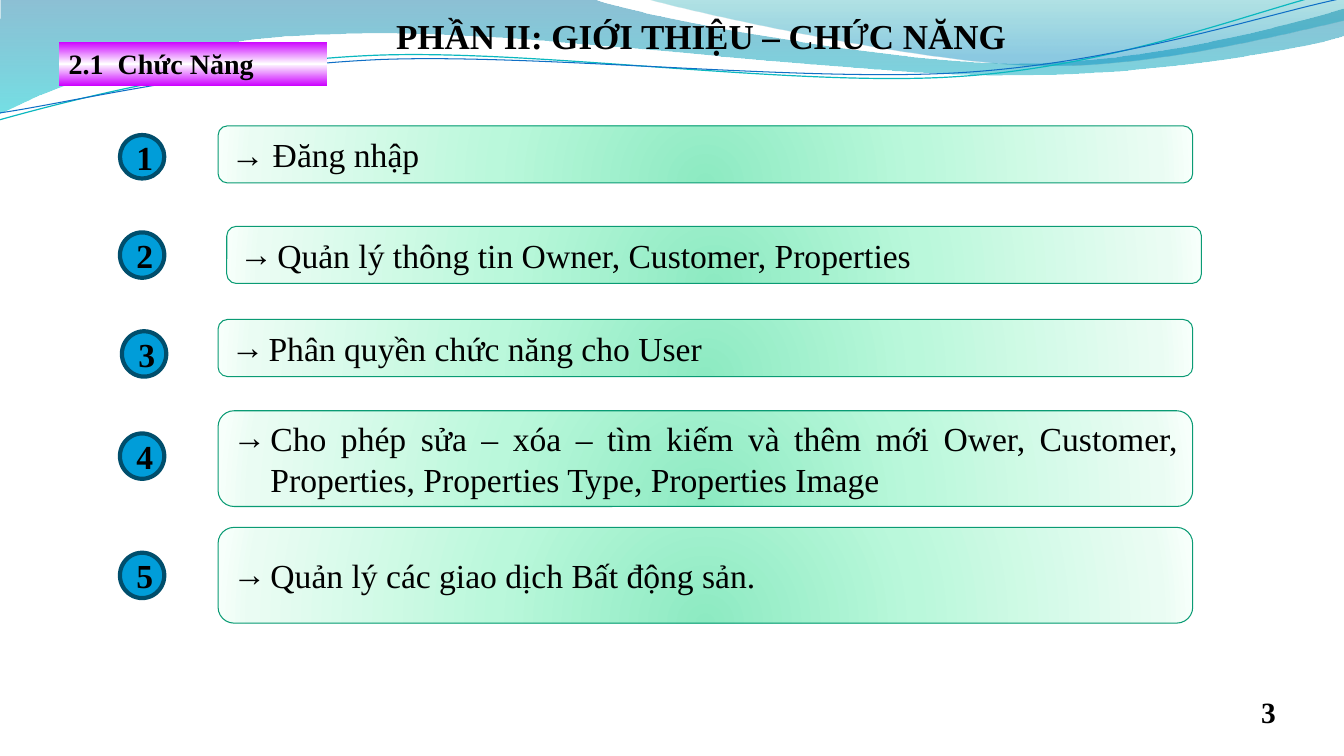
import pptx
import pptx.dml.color
import pptx.enum.shapes
import pptx.enum.text
import pptx.oxml
import pptx.oxml.ns
import pptx.util

Pt = pptx.util.Pt
color = pptx.dml.color.RGBColor.from_string
qn = pptx.oxml.ns.qn
NAMESPACE = pptx.oxml.ns.nsdecls("a")
ALIGN = pptx.enum.text.PP_ALIGN
ANCHOR = pptx.enum.text.MSO_ANCHOR
FIT = pptx.enum.text.MSO_AUTO_SIZE.SHAPE_TO_FIT_TEXT
SHAPE = pptx.enum.shapes.MSO_SHAPE

DOWNWARD = '<a:lin ang="5400000" scaled="0"/>'
FROM_BELOW = '<a:path path="circle"><a:fillToRect l="50000" t="130000" r="50000" b="-30000"/></a:path>'
BAR_STOPS = [(0, "8DEAC2", 100), (43, "BAF8DB", 100), (93, "EAFCF3", 100), (100, "F7FFFB", 100)]
TAG_STOPS = [(0, "CC00FF", 100), (50, "FFFFFF", 100), (100, "CC00FF", 100)]


def fill_gradient(shape, stops, direction):
    """Fill with stops of (position %, colour, opacity %)."""
    shape.fill.solid()
    marks = "".join(
        f'<a:gs pos="{position * 1000}"><a:srgbClr val="{tone}"><a:alpha val="{opacity * 1000}"/></a:srgbClr></a:gs>'
        for position, tone, opacity in stops
    )
    gradient = pptx.oxml.parse_xml(
        f'<a:gradFill {NAMESPACE} rotWithShape="1"><a:gsLst>{marks}</a:gsLst>{direction}</a:gradFill>'
    )
    solid = shape.element.spPr.find(qn("a:solidFill"))
    solid.getparent().replace(solid, gradient)


def write(box, text, size, bold=True, align=ALIGN.LEFT, anchor=ANCHOR.MIDDLE):
    """Put one black paragraph in the box and return it."""
    box.text_frame.word_wrap = True
    box.text_frame.vertical_anchor = anchor
    para = box.text_frame.paragraphs[0]
    para.alignment = align
    span = para.add_run()
    span.text = text
    span.font.name = "Times New Roman"
    span.font.size = Pt(size)
    span.font.bold = bold
    span.font.color.rgb = color("000000")
    return para


deck = pptx.Presentation()
deck.slide_width, deck.slide_height = Pt(960), Pt(540)
page = deck.slides.add_slide(deck.slide_layouts[6])

# Header waves: start, then lines (x, y) or curves (two controls and an end);
# the last two entries are gradient stops and line (colour, width)
waves = [
    ((0, 0), [
        (422.6, -0.7),
        (456.5, 12.2, 636.5, 45.4, 727.9, 45.4),
        (818.6, 45.4, 919.4, 18.7, 959.8, 6.5),
        (960.5, 25.9),
        (943.9, 31.7, 834.5, 54.7, 715.7, 54),
        (596.9, 54, 366.5, 20.2, 247, 24.5),
        (123.8, 25.9, 43.9, 59.8, -0.7, 81.4),
    ], [(0, "0074A1", 45), (100, "00C6CF", 55)], None),
    ((460.1, -0.7), [
        (488.9, 7.9, 654.5, 44.6, 738, 46.8),
        (820.8, 49.7, 923, 23, 959.8, 15.1),
        (959.8, 0),
    ], [(0, "00A1A9", 30), (80, "008BBF", 45)], None),
    ((-0.7, 85.7), [
        (46.1, 72.7, 151.9, 44.6, 265.7, 39.6),
        (379.4, 34.6, 568.1, 62.6, 684, 54.7),
        (799.2, 47.5, 900.7, 5.8, 958.3, -7.2),
    ], None, ("0AB8BF", 0.85)),
    ((0, 80.6), [
        (45.4, 74.2, 157, 47.5, 272.2, 42.5),
        (386.6, 38.2, 573.1, 59, 687.6, 51.8),
        (802.1, 44.6, 903.6, 10.1, 959.8, -1.4),
    ], None, ("0F6FC6", 0.75)),
]
for (start_x, start_y), segments, stops, stroke in waves:
    outline = page.shapes.build_freeform(Pt(start_x), Pt(start_y))
    for segment in segments:
        points = [(Pt(x), Pt(y)) for x, y in zip(segment[::2], segment[1::2])]
        outline.add_line_segments(points, close=False)
    wave = outline.convert_to_shape()
    wave.shadow.inherit = False

    # Join the three points of each curve into one Bézier segment
    steps = list(wave.element.iter(qn("a:lnTo")))
    route = steps[0].getparent()
    for segment in segments:
        count = len(segment) // 2
        joined, steps = steps[:count], steps[count:]
        if count == 3:
            curve = pptx.oxml.parse_xml(f"<a:cubicBezTo {NAMESPACE}/>")
            joined[0].addprevious(curve)
            for step in joined:
                curve.append(step[0])
                route.remove(step)

    if stops:
        route.append(pptx.oxml.parse_xml(f"<a:close {NAMESPACE}/>"))
        fill_gradient(wave, stops, DOWNWARD)
        wave.line.fill.background()
    else:
        wave.fill.background()
        wave.line.color.rgb = color(stroke[0])
        wave.line.width = Pt(stroke[1])

# Functions: bar left, top, height; badge left, top, height; text; arrow bullet
functions = [
    (155.8, 89.9, 40.8, 85.7, 96.5, 31, "→ Đăng nhập", False),
    (162, 161.7, 40.8, 85.7, 166, 32.4, "Quản lý thông tin Owner, Customer, Properties", True),
    (155.8, 228.2, 40.8, 87.1, 236.6, 32.4, "Phân quyền chức năng cho User", True),
    (155.8, 293.4, 68.4, 85.7, 309.6, 32.4,
     "Cho phép sửa – xóa – tìm kiếm và thêm mới Ower, Customer, Properties, Properties Type, Properties Image", True),
    (155.8, 376.7, 68.4, 85.7, 394.8, 32.4, "Quản lý các giao dịch Bất động sản.", True),
]
for number, (left, top, height, badge_left, badge_top, badge_height, text, bulleted) in enumerate(functions, 1):
    bar = page.shapes.add_shape(SHAPE.ROUNDED_RECTANGLE, Pt(left), Pt(top), Pt(696.2), Pt(height))
    bar.shadow.inherit = False
    fill_gradient(bar, BAR_STOPS, FROM_BELOW)
    bar.line.color.rgb = color("0A9B74")
    bar.line.width = Pt(0.75)
    para = write(bar, text, 24, bold=False, align=ALIGN.JUSTIFY if bulleted else ALIGN.LEFT)
    if bulleted:
        para.space_before = Pt(6)
        settings = para._p.get_or_add_pPr()
        settings.set("marL", str(Pt(27)))
        settings.set("indent", str(Pt(-27)))
        for bullet in ('buFont {} typeface="Times New Roman"', 'buChar {} char="→"'):
            settings.append(pptx.oxml.parse_xml(f"<a:{bullet.format(NAMESPACE)}/>"))

    badge = page.shapes.add_shape(SHAPE.OVAL, Pt(badge_left), Pt(badge_top), Pt(31.7), Pt(badge_height))
    badge.shadow.inherit = False
    badge.fill.solid()
    badge.fill.fore_color.rgb = color("009DD9")
    badge.line.color.rgb = color("004E6C")
    badge.line.width = Pt(3)
    write(badge, str(number), 24, align=ALIGN.CENTER)

title = page.shapes.add_textbox(Pt(245.8), Pt(5.8), Pt(509.8), Pt(38.9))
frame = title.text_frame
frame.margin_left = frame.margin_right = Pt(8.64)
frame.margin_top = frame.margin_bottom = Pt(4.32)
frame.auto_size = FIT
write(title, "PHẦN II: GIỚI THIỆU – CHỨC NĂNG", 25, align=ALIGN.CENTER, anchor=ANCHOR.TOP)

tag = page.shapes.add_shape(SHAPE.RECTANGLE, Pt(42), Pt(29.8), Pt(191.8), Pt(31.5))
tag.shadow.inherit = False
fill_gradient(tag, TAG_STOPS, DOWNWARD)
tag.line.fill.background()
heading = write(tag, "2.1\tChức Năng", 20)
heading._p.get_or_add_pPr().append(
    pptx.oxml.parse_xml(f'<a:tabLst {NAMESPACE}><a:tab pos="{Pt(35)}" algn="l"/></a:tabLst>')
)

page_number = page.shapes.add_textbox(Pt(893.8), Pt(492.2), Pt(48.2), Pt(32.4))
page_number.text_frame.auto_size = FIT
write(page_number, "3", 21, anchor=ANCHOR.TOP)

deck.save("out.pptx")
